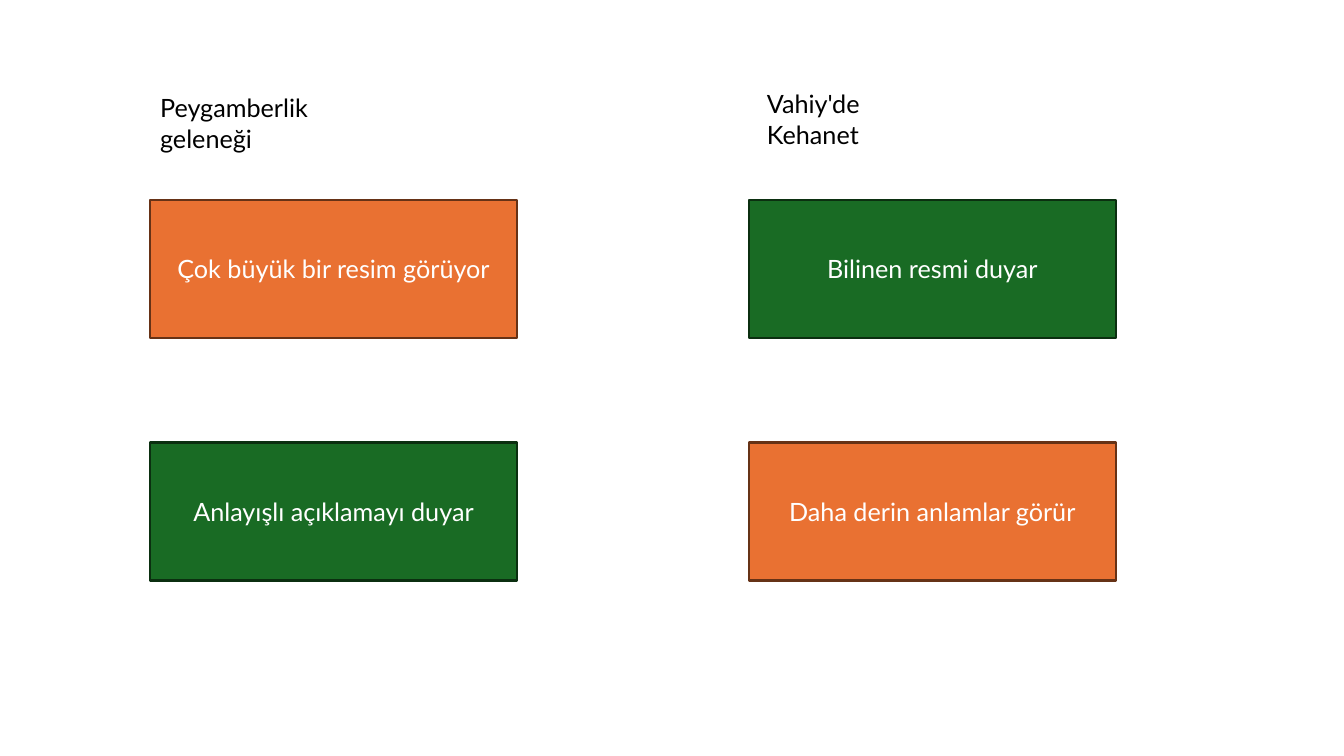
import pptx
import pptx.dml.color
import pptx.enum.shapes
import pptx.enum.text
import pptx.util

Pt = pptx.util.Pt
FONT = "Lato"
SEES = ("E97132", "663216")
HEARS = ("196B24", "0B2F10")

BOX_W, BOX_H = 262, 98.6
BOX_TOP, ROW_STEP = 142.6, 173.5
LEFT_X, RIGHT_X = 107.3, 535

# left, heading text, heading (dx, top, width), boxes from top to bottom
COLUMNS = [
    (LEFT_X, "Peygamberlik geleneği", (0, 62.6, 186),
     [("Çok büyük bir resim görüyor", SEES),
      ("Anlayışlı açıklamayı duyar", HEARS)]),
    (RIGHT_X, "Vahiy'de Kehanet", (5.7, 59.8, 146),
     [("Bilinen resmi duyar", HEARS),
      ("Daha derin anlamlar görür", SEES)]),
]


def rgb(value):
    return pptx.dml.color.RGBColor.from_string(value)


def write(tf, text, color):
    tf.word_wrap = True
    tf.text = text
    font = tf.paragraphs[0].runs[0].font
    font.name = FONT
    font.size = Pt(18)
    font.color.rgb = rgb(color)


def add_heading(slide, text, left, top, width):
    tf = slide.shapes.add_textbox(Pt(left), Pt(top), Pt(width), Pt(29)).text_frame
    write(tf, text, "000000")
    tf.auto_size = pptx.enum.text.MSO_AUTO_SIZE.SHAPE_TO_FIT_TEXT


def add_box(slide, text, colors, left, top):
    fill, line = colors
    sp = slide.shapes.add_shape(pptx.enum.shapes.MSO_SHAPE.RECTANGLE,
                                Pt(left), Pt(top), Pt(BOX_W), Pt(BOX_H))
    sp.shadow.inherit = False
    sp.fill.solid()
    sp.fill.fore_color.rgb = rgb(fill)
    sp.line.color.rgb = rgb(line)
    sp.line.width = Pt(1.5)
    tf = sp.text_frame
    write(tf, text, "FFFFFF")
    tf.vertical_anchor = pptx.enum.text.MSO_ANCHOR.MIDDLE
    tf.paragraphs[0].alignment = pptx.enum.text.PP_ALIGN.CENTER


def add_column(slide, left, heading, heading_box, boxes):
    dx, top, width = heading_box
    add_heading(slide, heading, left + dx, top, width)
    for row, (text, colors) in enumerate(boxes):
        add_box(slide, text, colors, left, BOX_TOP + row * ROW_STEP)


def main():
    prs = pptx.Presentation()
    prs.slide_width, prs.slide_height = Pt(960), Pt(540)
    slide = prs.slides.add_slide(prs.slide_layouts[6])
    for column in COLUMNS:
        add_column(slide, *column)
    prs.save("out.pptx")


if __name__ == "__main__":
    main()
